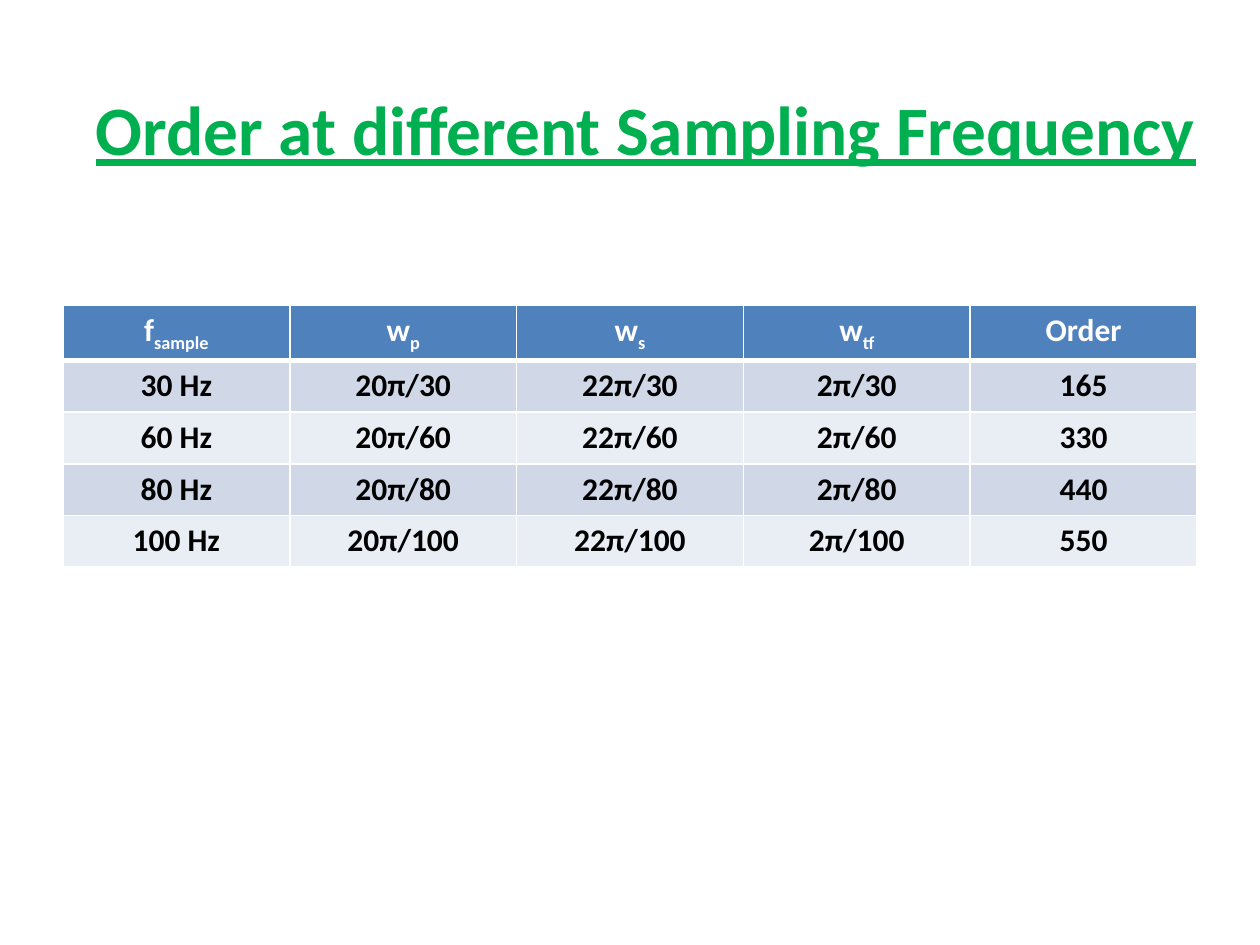
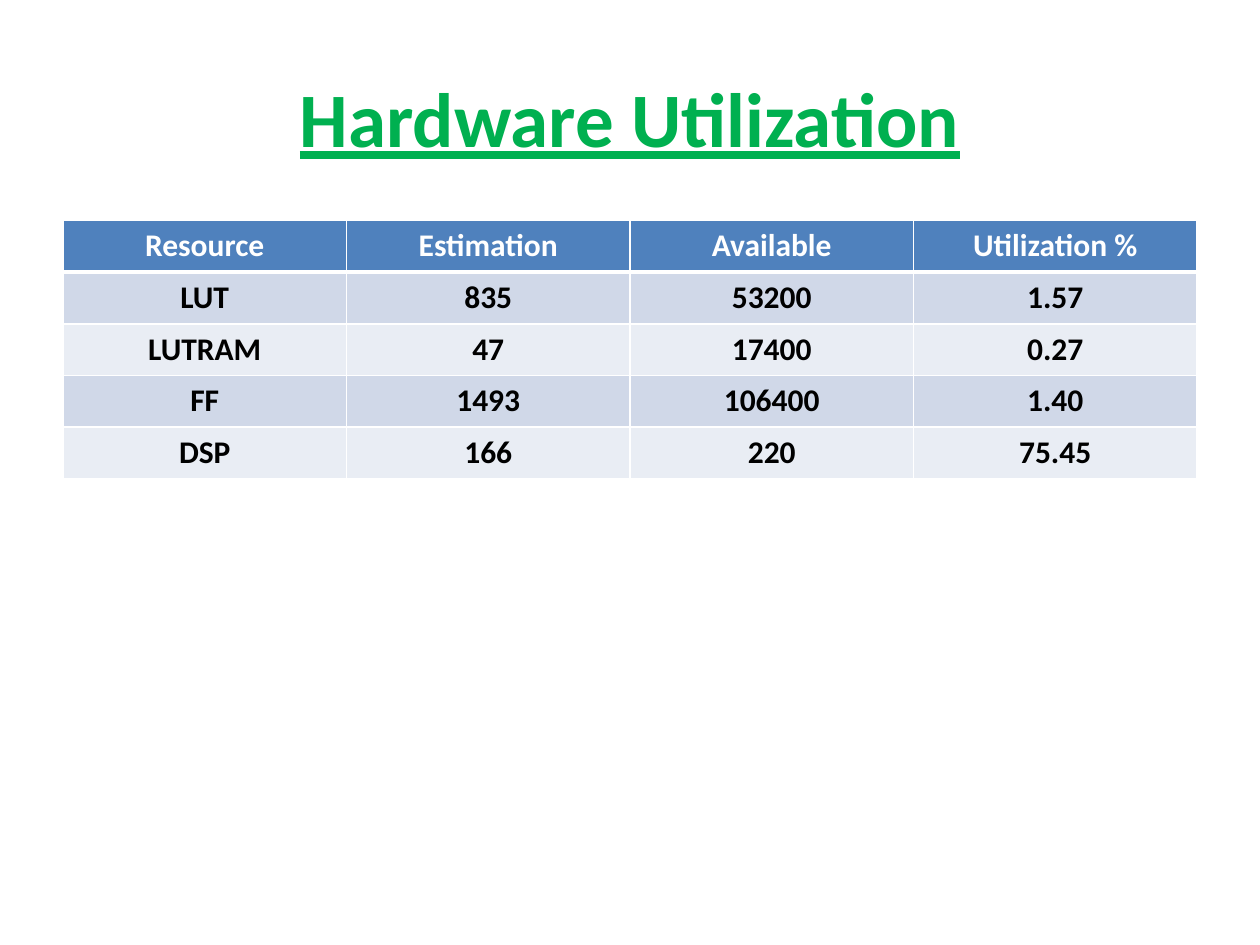
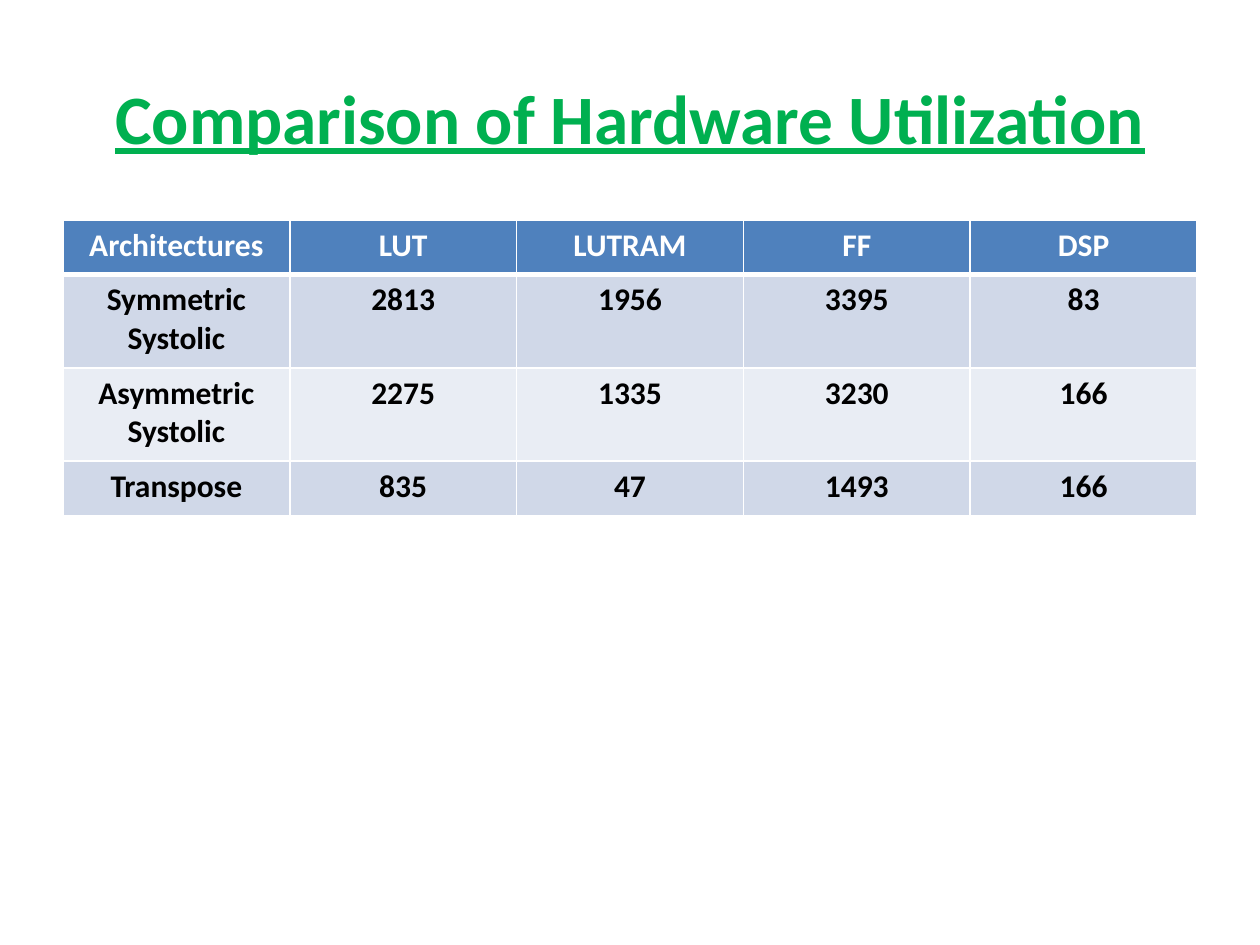
from pptx import Presentation
from pptx.dml.color import RGBColor
from pptx.enum.text import MSO_ANCHOR, PP_ALIGN
from pptx.oxml.ns import qn
from pptx.util import Inches, Pt
from lxml.etree import SubElement

FONT = "Calibri"
GREEN, BLUE, WHITE, BLACK = "00B050", "4F81BD", "FFFFFF", "000000"
BANDS = ("D0D8E8", "E9EDF4")
TABLE_LEFT, TABLE_WIDTH = 0.5, 9
TITLE_AREA = (0.5, 0.3, 9, 1.25)

SLIDES = [
    {
        "title": "Order at different Sampling Frequency",
        "title_size": 39.6,
        "title_area": (0.5, 0.25, 9.25, 1.53),
        "table_top": 2.42,
        "row_heights": [0.41] * 5,
        "rows": [
            [("f", "sample"), ("w", "p"), ("w", "s"), ("w", "tf"), "Order"],
            ["30 Hz", "20π/30", "22π/30", "2π/30", "165"],
            ["60 Hz", "20π/60", "22π/60", "2π/60", "330"],
            ["80 Hz", "20π/80", "22π/80", "2π/80", "440"],
            ["100 Hz", "20π/100", "22π/100", "2π/100", "550"],
        ],
    },
    {
        "title": "Hardware Utilization",
        "title_size": 44,
        "title_area": TITLE_AREA,
        "table_top": 1.75,
        "row_heights": [0.41] * 5,
        "rows": [
            ["Resource", "Estimation", "Available", "Utilization %"],
            ["LUT", "835", "53200", "1.57"],
            ["LUTRAM", "47", "17400", "0.27"],
            ["FF", "1493", "106400", "1.40"],
            ["DSP", "166", "220", "75.45"],
        ],
    },
    {
        "title": "Comparison of Hardware Utilization",
        "title_size": 39.6,
        "title_area": TITLE_AREA,
        "table_top": 1.75,
        "row_heights": [0.43, 0.74, 0.74, 0.43],
        "rows": [
            ["Architectures", "LUT", "LUTRAM", "FF", "DSP"],
            ["Symmetric Systolic", "2813", "1956", "3395", "83"],
            ["Asymmetric Systolic", "2275", "1335", "3230", "166"],
            ["Transpose", "835", "47", "1493", "166"],
        ],
    },
]


def color(value):
    return RGBColor.from_string(value)


def add_span(para, text, size, ink, **extra):
    span = para.add_run()
    span.text = text
    span.font.color.rgb = color(ink)
    values = {"name": FONT, "size": Pt(size), "bold": True, **extra}
    for name, value in values.items():
        setattr(span.font, name, value)
    return span


def add_title(page, text, size, area):
    box = page.shapes.add_textbox(*map(Inches, area))
    frame = box.text_frame
    frame.word_wrap = True
    frame.vertical_anchor = MSO_ANCHOR.MIDDLE
    para = frame.paragraphs[0]
    para.alignment = PP_ALIGN.CENTER
    add_span(para, text, size, GREEN, underline=True)


def add_borders(cell, top, bottom):
    properties = cell._tc.get_or_add_tcPr()
    for side, width in {"L": 1, "R": 1, "T": top, "B": bottom}.items():
        line = SubElement(properties, qn(f"a:ln{side}"), w=str(Pt(width)))
        fill = SubElement(line, qn("a:solidFill"))
        SubElement(fill, qn("a:srgbClr"), val=WHITE)


def fill_cell(cell, content, row):
    header = row == 0
    add_borders(cell, 3 if row == 1 else 1, 3 if header else 1)
    cell.fill.solid()
    cell.fill.fore_color.rgb = color(BLUE if header else BANDS[(row - 1) % 2])
    para = cell.text_frame.paragraphs[0]
    para.alignment = PP_ALIGN.CENTER
    ink = WHITE if header else BLACK
    text, subscript = (content, "") if isinstance(content, str) else content
    add_span(para, text, 18, ink)
    if subscript:
        span = add_span(para, subscript, 18, ink)
        span.font._element.set("baseline", "-25000")


def add_data_table(page, rows, heights, top):
    columns = len(rows[0])
    area = (TABLE_LEFT, top, TABLE_WIDTH, sum(heights))
    table = page.shapes.add_table(len(rows), columns, *map(Inches, area)).table
    for column in table.columns:
        column.width = Inches(TABLE_WIDTH / columns)
    for row, (contents, height) in enumerate(zip(rows, heights)):
        table.rows[row].height = Inches(height)
        for column, content in enumerate(contents):
            fill_cell(table.cell(row, column), content, row)


def main():
    deck = Presentation()
    deck.slide_width, deck.slide_height = Inches(10), Inches(7.5)
    for data in SLIDES:
        page = deck.slides.add_slide(deck.slide_layouts[6])
        add_title(page, data["title"], data["title_size"], data["title_area"])
        add_data_table(page, data["rows"], data["row_heights"], data["table_top"])
    deck.save("out.pptx")


if __name__ == "__main__":
    main()
